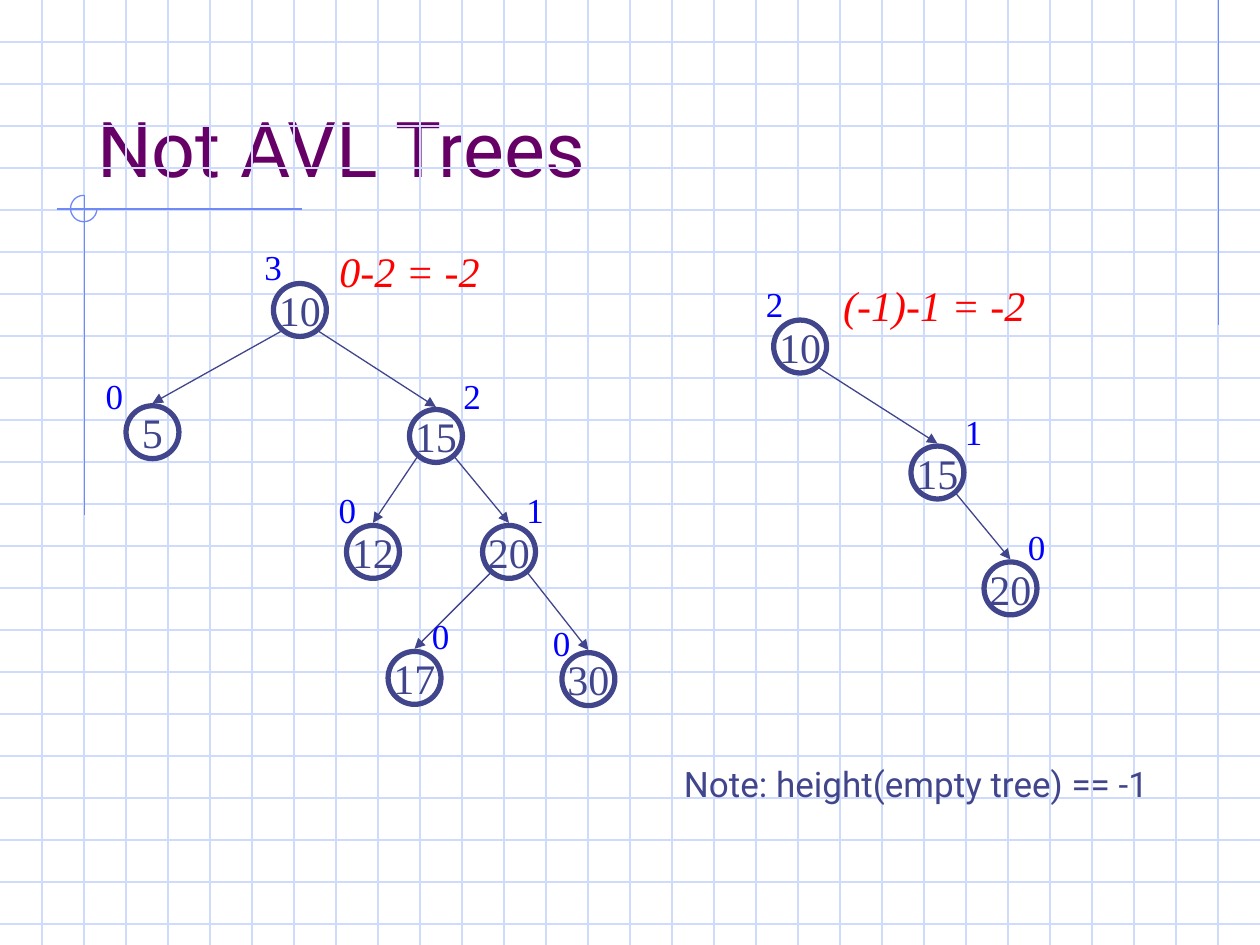
from lxml.etree import SubElement
from pptx import Presentation
from pptx.dml.color import RGBColor
from pptx.enum.shapes import MSO_CONNECTOR, MSO_SHAPE
from pptx.enum.text import MSO_ANCHOR, MSO_AUTO_SIZE, PP_ALIGN
from pptx.oxml.ns import qn
from pptx.util import Inches, Pt

GRID = RGBColor(0xCF, 0xDB, 0xFD)
ACCENT = RGBColor(0x6F, 0x89, 0xF7)
INK = RGBColor(0x40, 0x45, 0x8C)
PURPLE = RGBColor(0x66, 0x00, 0x66)
BLUE = RGBColor(0x00, 0x00, 0xFF)
RED = RGBColor(0xFF, 0x00, 0x00)
WHITE = RGBColor(0xFF, 0xFF, 0xFF)
SANS, SERIF = "Roboto", "Times New Roman"
WIDTH, HEIGHT, STEP = 10, 7.5, 1 / 3
NODE = 0.42

# Each node: value, (left, top), height label, (label left, top), parent index
LEFT_TREE = [
    ("10", (2.17, 2.25), "3", (2.00, 1.90), None),
    ("5", (1.00, 3.22), "0", (0.74, 2.92), 0),
    ("15", (3.25, 3.25), "2", (3.58, 2.92), 0),
    ("12", (2.75, 4.17), "0", (2.59, 3.83), 2),
    ("20", (3.83, 4.17), "1", (4.08, 3.83), 2),
    ("17", (3.08, 5.17), "0", (3.33, 4.83), 4),
    ("30", (4.46, 5.18), "0", (4.29, 4.88), 4),
]
RIGHT_TREE = [
    ("10", (6.14, 2.54), "2", (5.98, 2.19), None),
    ("15", (7.23, 3.54), "1", (7.56, 3.21), 0),
    ("20", (7.81, 4.46), "0", (8.06, 4.12), 1),
]


class TreeSlide:
    """Holds the slide and draws each kind of element in its style."""

    def __init__(self, prs):
        self.s = prs.slides.add_slide(prs.slide_layouts[5])

    def add_text(self, tf, text, size, font, color, align=PP_ALIGN.LEFT, italic=False):
        p = tf.paragraphs[0]
        p.alignment = align
        r = p.add_run()
        r.text = text
        r.font.size, r.font.name, r.font.italic = Pt(size), font, italic
        r.font.color.rgb = color

    def line(self, x1, y1, x2, y2, color, arrow=False):
        c = self.s.shapes.add_connector(
            MSO_CONNECTOR.STRAIGHT, Inches(x1), Inches(y1), Inches(x2), Inches(y2))
        c.line.color.rgb, c.line.width = color, Pt(0.75)
        if arrow:
            SubElement(c.line._get_or_add_ln(), qn("a:tailEnd"), type="triangle")
        SubElement(c._element.spPr, qn("a:effectLst"))

    def outline(self, kind, left, top, size, color, width):
        sp = self.s.shapes.add_shape(
            kind, Inches(left), Inches(top), Inches(size), Inches(size))
        sp.shadow.inherit = False
        sp.fill.background()
        sp.line.color.rgb, sp.line.width = color, Pt(width)
        return sp

    def title(self, text):
        sp = self.s.shapes.title
        sp.left, sp.top, sp.width, sp.height = map(Inches, (0.67, 0.33, 8.5, 1.25))
        tf = sp.text_frame
        tf.auto_size = MSO_AUTO_SIZE.NONE
        tf.vertical_anchor = MSO_ANCHOR.BOTTOM
        self.add_text(tf, text, 44, SANS, PURPLE)

    def text(self, text, left, top, width, height, size, font, color,
             wrap=True, **style):
        tf = self.s.shapes.add_textbox(
            Inches(left), Inches(top), Inches(width), Inches(height)).text_frame
        tf.word_wrap = wrap
        tf.auto_size = MSO_AUTO_SIZE.SHAPE_TO_FIT_TEXT
        self.add_text(tf, text, size, font, color, **style)

    def balance(self, text, left, top, width):
        self.text(text, left, top, width, 0.5, 24, SERIF, RED,
                  align=PP_ALIGN.CENTER, italic=True)

    def node(self, value, left, top, root):
        sp = self.outline(MSO_SHAPE.OVAL, left, top, NODE, INK, 3)
        if root:
            sp.fill.solid()
            sp.fill.fore_color.rgb = WHITE
        tf = sp.text_frame
        tf.word_wrap = False
        tf.vertical_anchor = MSO_ANCHOR.MIDDLE
        self.add_text(tf, value, 24, SERIF, INK, PP_ALIGN.CENTER)

    def edge(self, parent, child):
        """Arrow from the parent's lower side to just above the child."""
        (px, py), (cx, cy) = parent, child
        side = 0.15 if cx > px else -0.15
        mid = NODE / 2
        self.line(px + mid + side, py + mid + 0.17, cx + mid, cy - 0.02, INK, arrow=True)

    def tree(self, nodes):
        for value, spot, label, label_spot, parent in nodes:
            if parent is not None:
                self.edge(nodes[parent][1], spot)
            self.node(value, *spot, root=parent is None)
            self.text(label, *label_spot, 0.34, 0.44, 20, SERIF, BLUE, wrap=False)

    def backdrop(self):
        # Graph paper
        for i in range(1, 23):
            self.line(0, i * STEP, WIDTH, i * STEP, GRID)
        for i in range(1, 30):
            self.line(i * STEP, 0, i * STEP, HEIGHT, GRID)
        # Accent lines and three-quarter circle
        self.line(9.67, 0, 9.67, 2.58, ACCENT)
        self.line(2.4, 1.66, 0.45, 1.66, ACCENT)
        self.line(0.67, 1.55, 0.67, 4.09, ACCENT)
        arc = self.outline(MSO_SHAPE.ARC, 0.56, 1.55, 0.21, ACCENT, 0.75)
        arc.adjustments[0], arc.adjustments[1] = 0, 162  # 0 to 270 degrees


def main():
    prs = Presentation()
    prs.slide_width, prs.slide_height = Inches(WIDTH), Inches(HEIGHT)
    slide = TreeSlide(prs)
    slide.backdrop()
    slide.title("Not AVL Trees")

    # Trees with their balance at the root
    slide.tree(LEFT_TREE)
    slide.tree(RIGHT_TREE)
    slide.balance("(-1)-1 = -2", 6.58, 2.17, 1.67)
    slide.balance("0-2 = -2", 2.5, 1.9, 1.5)

    # Note
    slide.text("Note: height(empty tree) == -1", 5.33, 6, 4.33, 0.44, 20, SANS, INK)
    prs.save("out.pptx")


if __name__ == "__main__":
    main()
